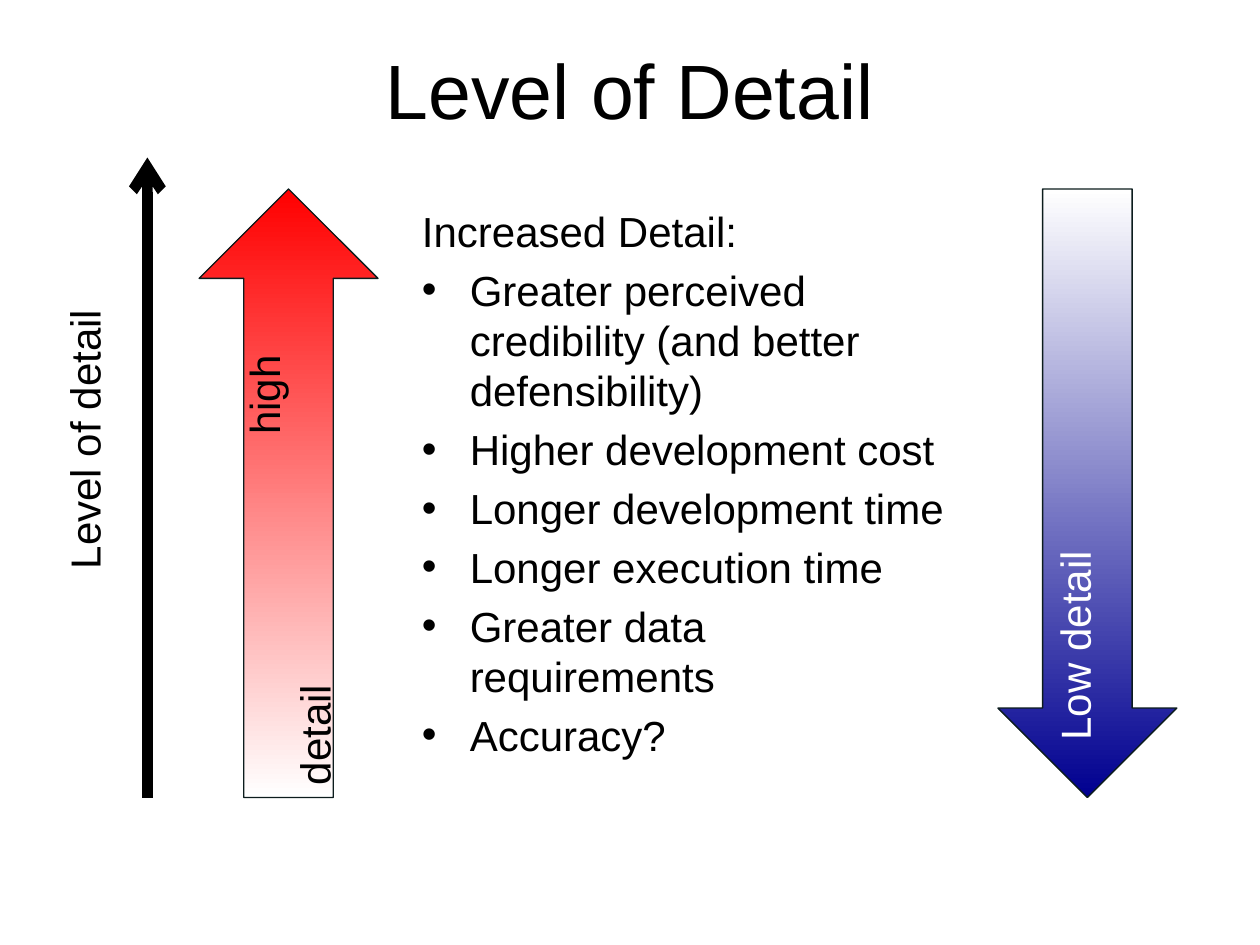
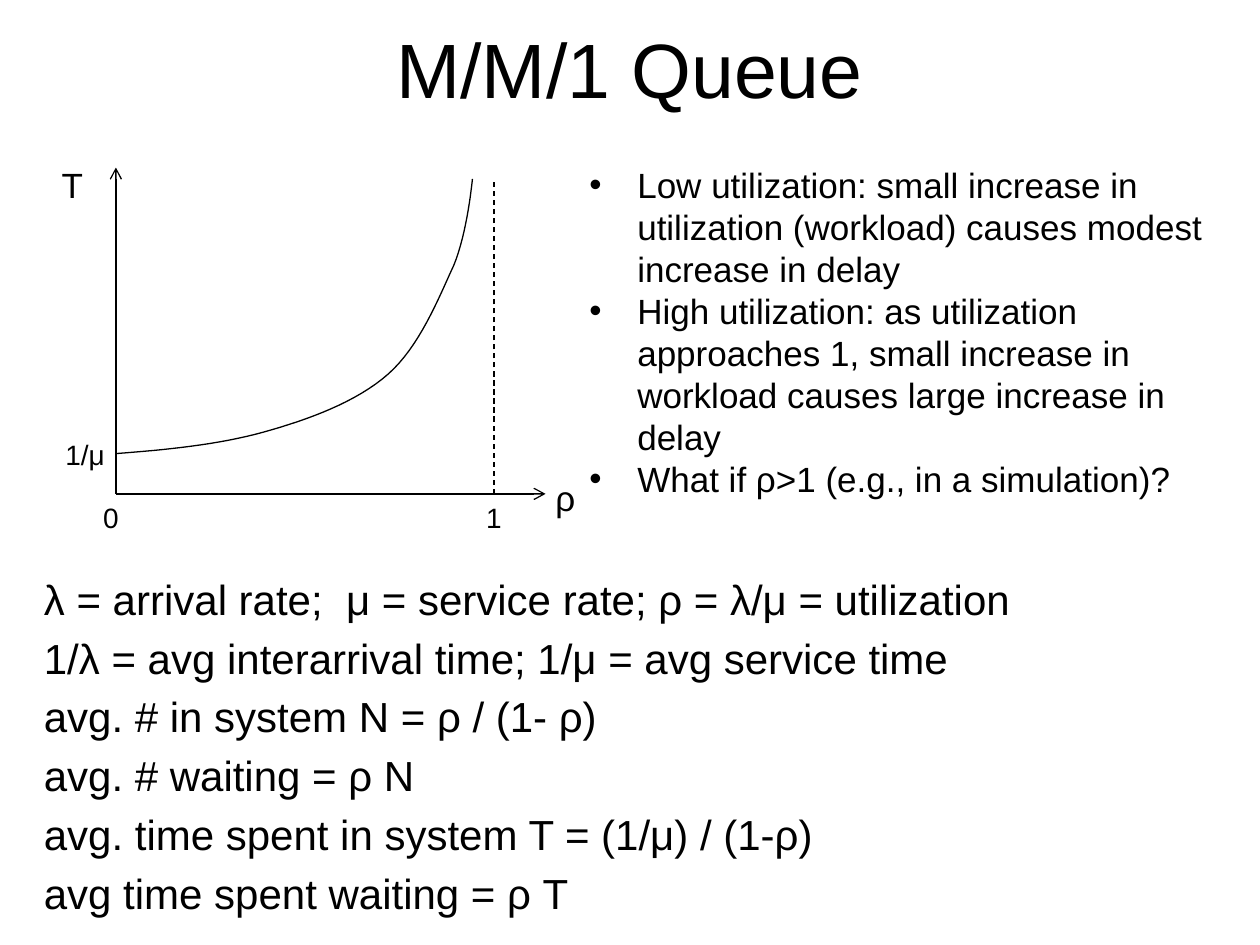
from dataclasses import dataclass

from lxml.etree import SubElement as Sub
from pptx import Presentation
from pptx.dml.color import RGBColor as RGB
from pptx.enum.dml import MSO_LINE as Dash
from pptx.enum.shapes import MSO_CONNECTOR as Conn, MSO_SHAPE as Kind
from pptx.enum.text import MSO_ANCHOR as Anchor, PP_ALIGN as Align
from pptx.oxml.ns import qn
from pptx.util import Inches, Pt


@dataclass(frozen=True)
class Theme:
    font: str = "Arial"
    ink: str = "000000"
    paper: str = "FFFFFF"
    red: str = "FF0000"
    navy: str = "000090"
    edge: str = "0C1C1D"
    title: int = 44
    body: int = 24
    note: int = 20
    mark: int = 16
    thin: float = 0.75
    thick: float = 6
    hang: float = 0.38


class Deck:
    """Holds the theme and the current slide, and draws each kind of element."""

    def __init__(self, theme):
        self.theme = theme
        self.show = Presentation()
        self.show.slide_width, self.show.slide_height = Inches(10), Inches(7.5)

    def page(self, title, height):
        self.slide = self.show.slides.add_slide(self.show.slide_layouts[6])
        frame = self.text([title], (0.75, 0.08, 8.5, height), self.theme.title).text_frame
        frame.vertical_anchor = Anchor.MIDDLE
        frame.paragraphs[0].alignment = Align.CENTER

    def style(self, para, size, color):
        for run in para.runs:
            run.font.name = self.theme.font
            run.font.size = Pt(size)
            run.font.color.rgb = RGB.from_string(color)

    def text(self, lines, place, size, gap=0, wrap=True, dots=()):
        box = self.slide.shapes.add_textbox(*map(Inches, place))
        frame = box.text_frame
        frame.word_wrap = wrap
        frame.text = "\n".join(lines)
        for para in frame.paragraphs:
            para.space_before = Pt(gap)
            self.style(para, size, self.theme.ink)
            if para.text in dots:
                self.bullet(para)
        return box

    def bullet(self, para):
        props = para._p.get_or_add_pPr()
        props.set("marL", str(Inches(self.theme.hang)))
        props.set("indent", str(-Inches(self.theme.hang)))
        Sub(props, qn("a:buFont")).set("typeface", self.theme.font)
        Sub(props, qn("a:buChar")).set("char", "•")

    def pen(self, line, width, color):
        line.width = Pt(width)
        line.color.rgb = RGB.from_string(color)

    def line(self, start, end, width, arrow=True):
        link = self.slide.shapes.add_connector(Conn.STRAIGHT, *map(Inches, start + end))
        self.pen(link.line, width, self.theme.ink)
        if arrow:
            Sub(link.line._get_or_add_ln(), qn("a:tailEnd")).set("type", "arrow")
        else:
            link.line.dash_style = Dash.DASH
        Sub(link._element.spPr, qn("a:effectLst"))

    def arrow(self, left, label, tint, color, turn, anchor, indent=0, flip=False):
        shape = self.slide.shapes.add_shape(
            Kind.UP_ARROW, *map(Inches, (left, 1.5, 1.42, 4.83)))
        shape.shadow.inherit = False
        shape.fill.gradient()
        shape.fill.gradient_angle = 270
        for stop, (spot, shade) in zip(
                shape.fill.gradient_stops, enumerate((tint, self.theme.paper))):
            stop.position = spot
            stop.color.rgb = RGB.from_string(shade)
        self.pen(shape.line, self.theme.thin, self.theme.edge)
        if flip:
            shape._element.spPr.xfrm.set("flipV", "1")
        frame = shape.text_frame
        frame.text = label
        frame.vertical_anchor = anchor
        frame._txBody.bodyPr.set("vert", turn)
        para = frame.paragraphs[0]
        para.alignment = Align.LEFT
        para._p.get_or_add_pPr().set("indent", str(Inches(indent)))
        self.style(para, self.theme.body, color)

    def curve(self, start, bends, steps=16):
        dots, here = [], start
        for bend in bends:
            knots = (here, *bend)
            for step in range(1, steps + 1):
                t = step / steps
                mix = ((1 - t) ** 3, 3 * t * (1 - t) ** 2, 3 * t * t * (1 - t), t ** 3)
                dots.append(tuple(
                    Inches(sum(m * k[axis] for m, k in zip(mix, knots)))
                    for axis in (0, 1)))
            here = bend[-1]
        path = self.slide.shapes.build_freeform(*map(Inches, start))
        path.add_line_segments(dots, close=False)
        shape = path.convert_to_shape()
        shape.shadow.inherit = False
        shape.fill.background()
        self.pen(shape.line, self.theme.thin, self.theme.ink)


def detail(deck):
    theme = deck.theme
    deck.page("Level of Detail", 1.25)
    gains = [
        "Greater perceived credibility (and better defensibility)",
        "Higher development cost",
        "Longer development time",
        "Longer execution time",
        "Greater data requirements",
        "Accuracy?",
    ]
    deck.text(["Increased Detail:"] + gains, (3.25, 1.58, 4.42, 4.92),
              theme.body, gap=4.8, dots=gains)
    deck.line((1.17, 6.33), (1.17, 1.25), theme.thick)
    axis = deck.text(["Level of detail"], (-0.47, 3.22, 2.28, 0.51), theme.body, wrap=False)
    axis.rotation = 270
    deck.arrow(1.58, "high detail", theme.red, theme.ink, "vert270",
               Anchor.MIDDLE, indent=2.78)
    deck.arrow(7.92, "Low detail", theme.navy, theme.paper, "vert",
               Anchor.TOP, flip=True)


def queue(deck):
    theme = deck.theme
    deck.page("M/M/1 Queue", 0.92)
    deck.text([
        "λ = arrival rate;  μ = service rate; ρ = λ/μ = utilization",
        "1/λ = avg interarrival time; 1/μ = avg service time",
        "avg. # in system N = ρ / (1- ρ)",
        "avg. # waiting = ρ N",
        "avg. time spent in system T = (1/μ) / (1-ρ)",
        "avg time spent waiting = ρ T",
    ], (0.25, 4.5, 8.25, 2.75), theme.body, gap=4.8)
    zero = (0.92, 3.92)
    deck.line(zero, (4.33, 3.92), theme.thin)
    deck.line(zero, (0.92, 1.33), theme.thin)
    deck.curve((0.92, 3.6), [
        ((1.32, 3.57), (1.73, 3.53), (2.09, 3.43)),
        ((2.45, 3.33), (2.83, 3.19), (3.08, 2.97)),
        ((3.33, 2.75), (3.48, 2.37), (3.6, 2.11)),
        ((3.71, 1.85), (3.75, 1.42), (3.75, 1.42)),
    ])
    deck.line((3.92, 3.92), (3.92, 1.42), theme.thin, arrow=False)
    for mark, left, top, width in (
            ("1", 3.76, 3.92, 0.33), ("1/μ", 0.42, 3.42, 0.52), ("0", 0.72, 3.92, 0.33)):
        deck.text([mark], (left, top, width, 0.37), theme.mark, wrap=False)
    for name, left, top in (("ρ", 4.31, 3.73), ("T", 0.39, 1.25)):
        deck.text([name], (left, top, 0.44, 0.44), theme.note)
    notes = [
        "Low utilization: small increase in utilization (workload) causes modest"
        " increase in delay",
        "High utilization: as utilization approaches 1, small increase in workload"
        " causes large increase in delay",
        "What if ρ>1 (e.g., in a simulation)?",
    ]
    deck.text(notes, (4.58, 1.25, 5.17, 2.79), theme.note, dots=notes)


def main():
    deck = Deck(Theme())
    detail(deck)
    queue(deck)
    deck.show.save("out.pptx")


if __name__ == "__main__":
    main()
